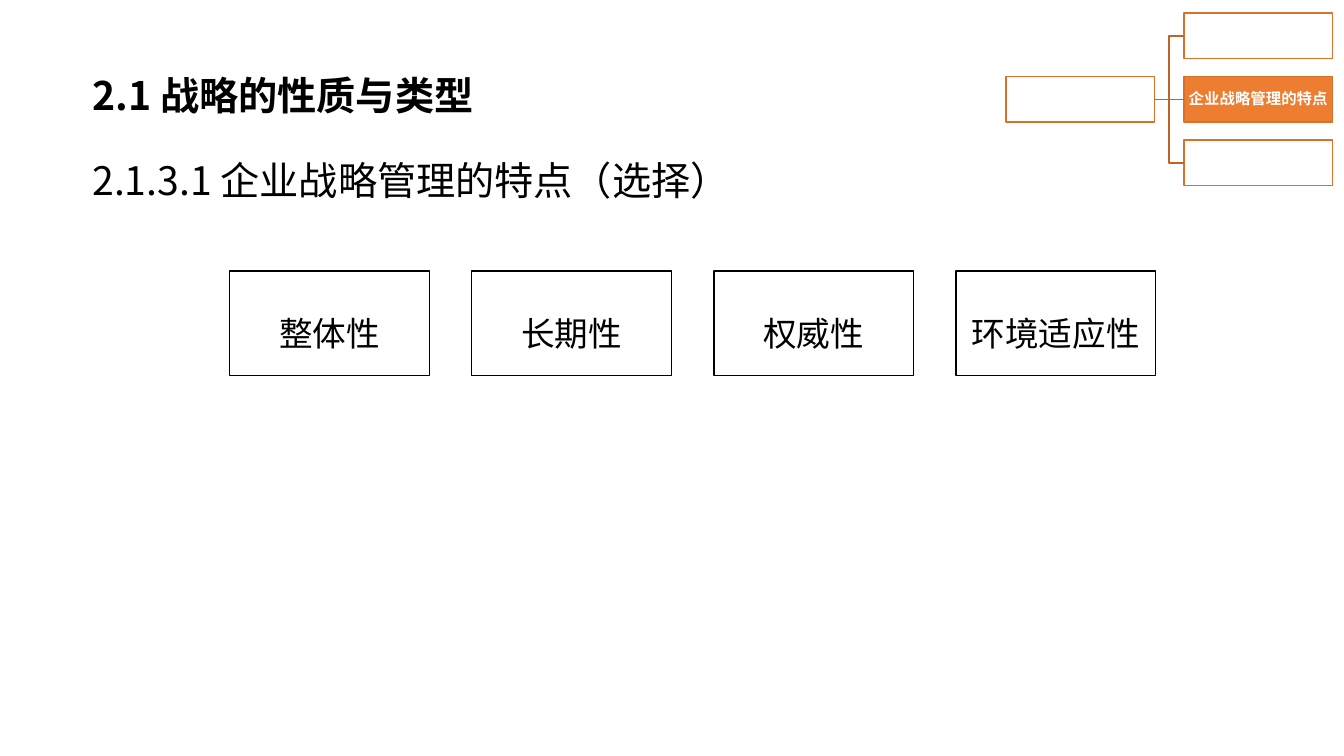
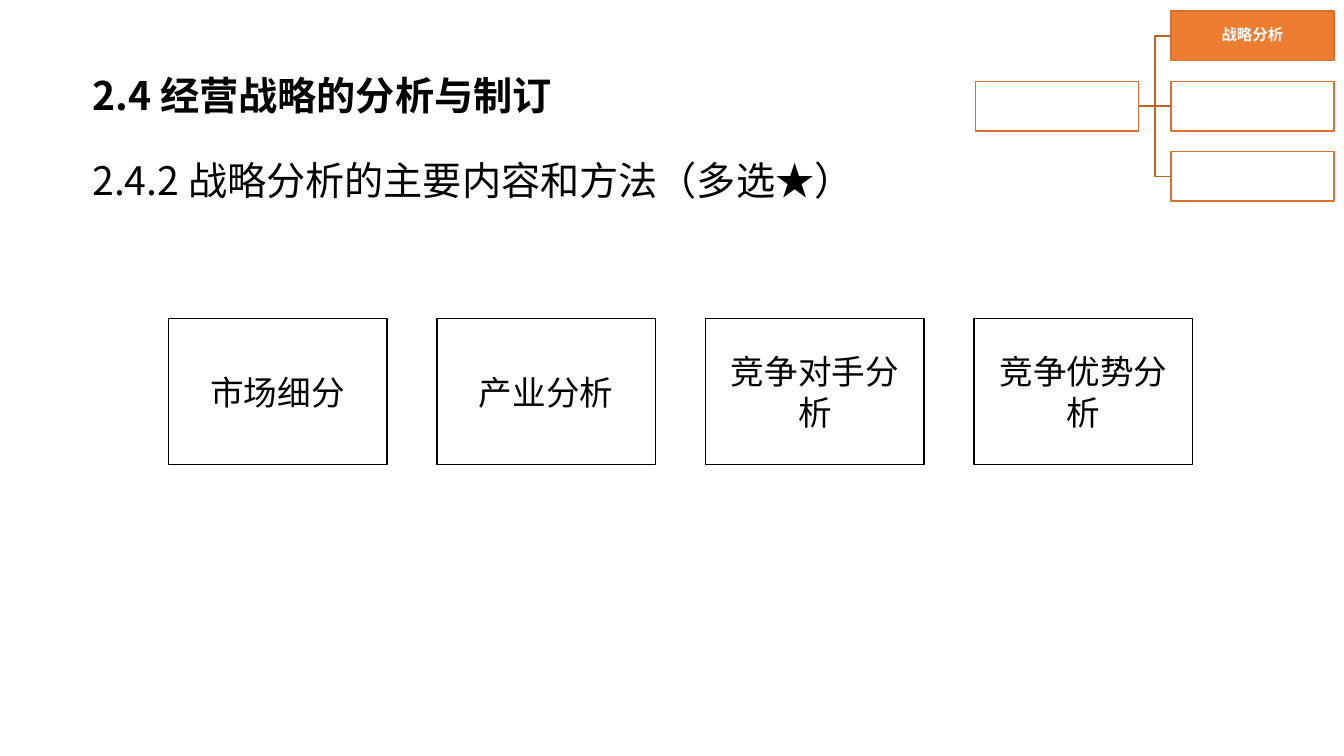
from dataclasses import dataclass

import lxml.etree
import pptx
import pptx.dml.color
import pptx.enum.shapes
import pptx.enum.text
import pptx.oxml.ns
import pptx.util
from pptx.util import Cm

# Shared style
FONT = "Noto Sans CJK SC"
BLACK = pptx.dml.color.RGBColor(0x00, 0x00, 0x00)
WHITE = pptx.dml.color.RGBColor(0xFF, 0xFF, 0xFF)
ORANGE = pptx.dml.color.RGBColor(0xED, 0x7D, 0x31)
ORANGE_BORDER = pptx.dml.color.RGBColor(0xD7, 0x71, 0x2C)
ORANGE_LINK = pptx.dml.color.RGBColor(0xBE, 0x64, 0x27)
LINE_WIDTH = pptx.util.Pt(1)
LEFT_SIDE, RIGHT_SIDE = 1, 3
MIDDLE_BRANCH = 1

ALIGN = pptx.enum.text.PP_ALIGN
ANCHOR = pptx.enum.text.MSO_ANCHOR
CONNECTOR = pptx.enum.shapes.MSO_CONNECTOR


@dataclass(frozen=True)
class Navigator:
    """Root box linked to three branches; lengths in centimetres."""
    root_left: float
    branch_left: float
    top: float
    pitch: float
    width: float
    height: float
    active: int
    label: str


@dataclass(frozen=True)
class BoxRow:
    """Row of equally spaced boxes; lengths in centimetres."""
    labels: tuple[str, ...]
    left: float
    top: float
    pitch: float
    width: float
    height: float
    line_spacing: float


@dataclass(frozen=True)
class Topic:
    title: str
    subtitle: str
    navigator: Navigator
    boxes: BoxRow


TOPICS = (
    Topic(
        "2.1 战略的性质与类型",
        "2.1.3.1 企业战略管理的特点（选择）",
        Navigator(25.35, 29.84, 0.33, 1.6, 3.74, 1.15, 1, "企业战略管理的特点"),
        BoxRow(("整体性", "长期性", "权威性", "环境适应性"),
               5.79, 6.83, 6.1, 5.03, 2.64, 1.5),
    ),
    Topic(
        "2.4 经营战略的分析与制订",
        "2.4.2 战略分析的主要内容和方法（多选★）",
        Navigator(24.59, 29.51, 0.28, 1.77, 4.11, 1.25, 0, "战略分析"),
        BoxRow(("市场细分", "产业分析", "竞争对手分析", "竞争优势分析"),
               4.24, 8.03, 6.77, 5.51, 3.68, 1.0),
    ),
)


def write_text(shape, text: str, *, size: float, color=BLACK, bold: bool = False,
               align=ALIGN.LEFT, anchor=ANCHOR.MIDDLE, line_spacing: float = 1.0,
               insets: tuple[float, float] = (0.25, 0.13)) -> None:
    frame = shape.text_frame
    frame.word_wrap = True
    frame.vertical_anchor = anchor
    frame.margin_left = frame.margin_right = Cm(insets[0])
    frame.margin_top = frame.margin_bottom = Cm(insets[1])
    paragraph = frame.paragraphs[0]
    paragraph.alignment = align
    paragraph.line_spacing = line_spacing
    run = paragraph.add_run()
    run.text = text
    run.font.size = pptx.util.Pt(size)
    run.font.bold = bold
    run.font.color.rgb = color
    run.font.name = FONT
    # East Asian characters need their own typeface element
    east_asian = lxml.etree.SubElement(
        run.font._element, pptx.oxml.ns.qn("a:ea"))
    east_asian.set("typeface", FONT)


def add_rectangle(slide, left: float, top: float, width: float, height: float,
                  *, fill=WHITE, border=BLACK):
    shape = slide.shapes.add_shape(
        pptx.enum.shapes.MSO_SHAPE.RECTANGLE,
        Cm(left), Cm(top), Cm(width), Cm(height))
    shape.shadow.inherit = False
    shape.fill.solid()
    shape.fill.fore_color.rgb = fill
    shape.line.color.rgb = border
    shape.line.width = LINE_WIDTH
    return shape


def link_boxes(slide, root, branch, kind) -> None:
    connector = slide.shapes.add_connector(kind, 0, 0, 0, 0)
    connector.begin_connect(root, RIGHT_SIDE)
    connector.end_connect(branch, LEFT_SIDE)
    connector.line.color.rgb = ORANGE_LINK
    connector.line.width = LINE_WIDTH
    lxml.etree.SubElement(connector._element.spPr,
                          pptx.oxml.ns.qn("a:effectLst"))


def add_headings(slide, topic: Topic) -> None:
    subtitle = slide.shapes.add_textbox(Cm(2.03), Cm(2.92), Cm(30.89), Cm(2.64))
    write_text(subtitle, topic.subtitle, size=28, line_spacing=1.5,
               insets=(0.3, 0.15))
    title = slide.shapes.add_textbox(Cm(2.03), Cm(1.65), Cm(29.08), Cm(1.5))
    write_text(title, topic.title, size=28, bold=True, anchor=ANCHOR.TOP,
               insets=(0.3, 0.15))
    title.text_frame.auto_size = pptx.enum.text.MSO_AUTO_SIZE.SHAPE_TO_FIT_TEXT


def add_navigator(slide, navigator: Navigator) -> None:
    root = add_rectangle(
        slide, navigator.root_left, navigator.top + MIDDLE_BRANCH * navigator.pitch,
        navigator.width, navigator.height, border=ORANGE_BORDER)
    for index in range(3):
        active = index == navigator.active
        branch = add_rectangle(
            slide, navigator.branch_left, navigator.top + index * navigator.pitch,
            navigator.width, navigator.height,
            fill=ORANGE if active else WHITE, border=ORANGE_BORDER)
        if active:
            write_text(branch, navigator.label, size=11, color=WHITE, bold=True,
                       align=ALIGN.CENTER, line_spacing=0.9, insets=(0.03, 0.03))
        kind = CONNECTOR.STRAIGHT if index == MIDDLE_BRANCH else CONNECTOR.ELBOW
        link_boxes(slide, root, branch, kind)


def add_box_row(slide, row: BoxRow) -> None:
    for index, label in enumerate(row.labels):
        box = add_rectangle(slide, row.left + index * row.pitch, row.top,
                            row.width, row.height)
        write_text(box, label, size=24, align=ALIGN.CENTER,
                   line_spacing=row.line_spacing)


def main() -> None:
    presentation = pptx.Presentation()
    presentation.slide_width = Cm(33.87)
    presentation.slide_height = Cm(19.05)
    blank_layout = presentation.slide_layouts[6]
    for topic in TOPICS:
        slide = presentation.slides.add_slide(blank_layout)
        add_headings(slide, topic)
        add_navigator(slide, topic.navigator)
        add_box_row(slide, topic.boxes)
    presentation.save("out.pptx")


if __name__ == "__main__":
    main()
